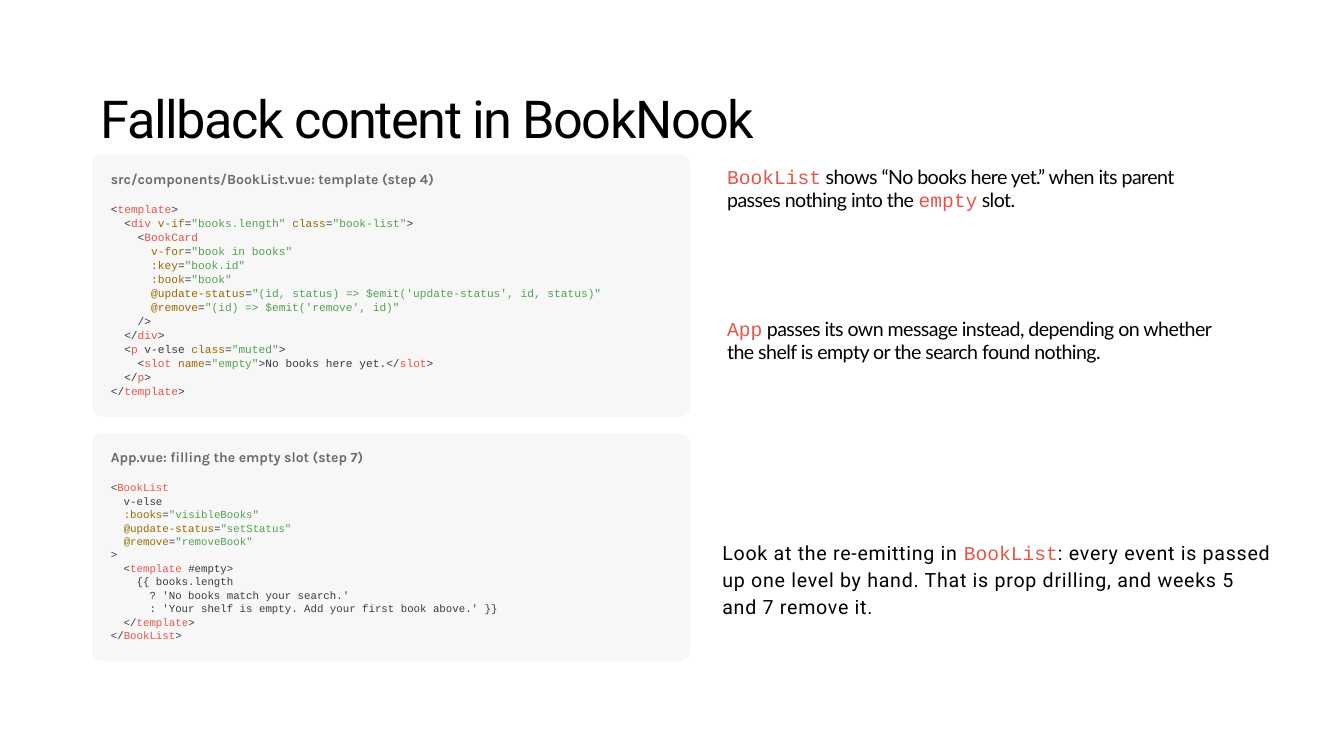
import dataclasses

import pptx
import pptx.dml.color
import pptx.enum.shapes
import pptx.enum.text
import pptx.oxml
import pptx.oxml.ns
import pptx.util

Inches = pptx.util.Inches
Pt = pptx.util.Pt


@dataclasses.dataclass(frozen=True)
class Theme:
    ink: str = "000000"
    panel: str = "F7F7F7"
    label: str = "6B6B6B"
    code: str = "383A42"
    tag: str = "E45649"
    attribute: str = "986801"
    string: str = "50A14F"
    heading_font: str = "Roboto"
    note_font: str = "Lato"
    label_font: str = "Karla"
    code_font: str = "Courier New"
    title_size: float = 56
    note_size: float = 21
    label_size: float = 15


THEME = Theme()


def tag(text):
    return text, THEME.tag


def attribute(name, value, tail=""):
    """Pieces of name="value", with any space that follows."""
    return [(name, THEME.attribute), "=", (f'"{value}"{tail}', THEME.string)]


class SlideBuilder:
    def __init__(self, deck, theme):
        self.theme = theme
        self.slide = deck.slides.add_slide(deck.slide_layouts[3])

    def place(self, box, left, top, width, height):
        box.left, box.top = Inches(left), Inches(top)
        box.width, box.height = Inches(width), Inches(height)
        frame = box.text_frame
        frame.word_wrap = True
        frame.auto_size = pptx.enum.text.MSO_AUTO_SIZE.NONE
        frame.vertical_anchor = pptx.enum.text.MSO_ANCHOR.TOP
        frame.margin_left = frame.margin_right = 0
        frame.margin_top = frame.margin_bottom = 0
        return frame

    def text_box(self, *bounds):
        return self.place(self.slide.shapes.add_textbox(0, 0, 0, 0), *bounds)

    def format_paragraph(self, para, leading=None, after=0):
        properties = para._p.get_or_add_pPr()
        properties.set("marL", "0")
        properties.set("indent", "0")
        properties.append(pptx.oxml.parse_xml(
            f'<a:buNone {pptx.oxml.ns.nsdecls("a")}/>'))
        para.alignment = pptx.enum.text.PP_ALIGN.LEFT
        para.space_before, para.space_after = Pt(0), Pt(after)
        if leading:
            para.line_spacing = Pt(leading)

    def format_span(self, span, font, size, color, spacing=0, bold=False):
        span.font.name, span.font.size = font, Pt(size)
        span.font.bold = bold
        span.font.color.rgb = pptx.dml.color.RGBColor.from_string(color)
        if spacing:
            span._r.get_or_add_rPr().set("spc", str(round(spacing * 100)))

    def title(self, text, *bounds):
        para = self.place(self.slide.shapes.title, *bounds).paragraphs[0]
        para.text = text
        self.format_paragraph(para, 67.2, 9)
        self.format_span(para.runs[0], self.theme.heading_font,
                         self.theme.title_size, self.theme.ink, -1.6)

    def note(self, frame, pieces, font, leading, spacing):
        """Prose in which the tagged pieces are set as code."""
        para = frame.paragraphs[0]
        self.format_paragraph(para, leading, 9)
        for piece in pieces:
            span = para.add_run()
            if isinstance(piece, tuple):
                span.text, color = piece
                self.format_span(span, self.theme.code_font,
                                 self.theme.note_size, color)
            else:
                span.text = piece
                self.format_span(span, font, self.theme.note_size,
                                 self.theme.ink, spacing)

    def body_note(self, index, pieces, *bounds):
        frame = self.place(self.slide.placeholders[index], *bounds)
        self.note(frame, pieces, self.theme.note_font, 25.2, -0.6)

    def code_panel(self, top, height, label, lines, size, leading):
        # Rounded background
        panel = self.slide.shapes.add_shape(
            pptx.enum.shapes.MSO_SHAPE.ROUNDED_RECTANGLE,
            Inches(1.37), Inches(top), Inches(8.9), Inches(height))
        panel.adjustments[0] = 0.04
        panel.shadow.inherit = False
        panel.fill.solid()
        panel.fill.fore_color.rgb = pptx.dml.color.RGBColor.from_string(
            self.theme.panel)
        panel.line.fill.background()

        # File label
        para = self.text_box(1.65, top + 0.23, 8.34, 0.42).paragraphs[0]
        para.text = label
        self.format_paragraph(para)
        self.format_span(para.runs[0], self.theme.label_font,
                         self.theme.label_size, self.theme.label, bold=True)

        # Code, one paragraph a line
        frame = self.text_box(1.65, top + 0.7, 8.34, height - 0.88)
        for number, line in enumerate(lines):
            para = frame.add_paragraph() if number else frame.paragraphs[0]
            self.format_paragraph(para, leading)
            for piece in line:
                span = para.add_run()
                span.text, color = (piece if isinstance(piece, tuple)
                                    else (piece, self.theme.code))
                self.format_span(span, self.theme.code_font, size, color)


BOOK_LIST_CODE = [
    ["<", tag("template"), ">"],
    ["  <", tag("div "), *attribute("v-if", "books.length", " "),
     *attribute("class", "book-list"), ">"],
    ["    <", tag("BookCard")],
    *[["      ", *attribute(name, value)] for name, value in (
        ("v-for", "book in books"),
        (":key", "book.id"),
        (":book", "book"),
        ("@update-status",
         "(id, status) => $emit('update-status', id, status)"),
        ("@remove", "(id) => $emit('remove', id)"))],
    ["    />"],
    ["  </", tag("div"), ">"],
    ["  <", tag("p"), " v-else ", *attribute("class", "muted"), ">"],
    ["    <", tag("slot "), *attribute("name", "empty"),
     ">No books here yet.</", tag("slot"), ">"],
    ["  </", tag("p"), ">"],
    ["</", tag("template"), ">"],
]

APP_CODE = [
    ["<", tag("BookList")],
    ["  v-else"],
    *[["  ", *attribute(name, value)] for name, value in (
        (":books", "visibleBooks"),
        ("@update-status", "setStatus"),
        ("@remove", "removeBook"))],
    [">"],
    ["  <", tag("template"), " #empty>"],
    ["    {{ books.length"],
    ["      ? 'No books match your search.'"],
    ["      : 'Your shelf is empty. Add your first book above.' }}"],
    ["  </", tag("template"), ">"],
    ["</", tag("BookList"), ">"],
]


def main():
    deck = pptx.Presentation()
    deck.slide_width, deck.slide_height = Inches(20), Inches(11.25)
    page = SlideBuilder(deck, THEME)

    # Title and explanations
    page.title("Fallback content in BookNook", 1.5, 1.28, 11.49, 0.93)
    page.body_note(1, [
        tag("BookList"), " shows “No books here yet.” when its parent passes "
        "nothing into the ", tag("empty"), " slot."], 10.82, 2.45, 6.83, 1.38)
    page.body_note(2, [
        tag("App"), " passes its own message instead, depending on whether "
        "the shelf is empty or the search found nothing."],
        10.82, 4.71, 7.48, 1.38)

    # Closing remark
    page.note(page.text_box(10.75, 7.99, 8.2, 2.37), [
        "Look at the re-emitting in ", tag("BookList"),
        ": every event is passed up one level by hand. That is prop "
        "drilling, and weeks 5 and 7 remove it."],
        THEME.heading_font, 29.2, 0.8)

    # Code panels
    page.code_panel(2.3, 3.9, "src/components/BookList.vue: template (step 4)",
                    BOOK_LIST_CODE, 12, 15)
    page.code_panel(6.45, 3.38, "App.vue: filling the empty slot (step 7)",
                    APP_CODE, 11.5, 14.4)

    deck.save("out.pptx")


if __name__ == "__main__":
    main()
